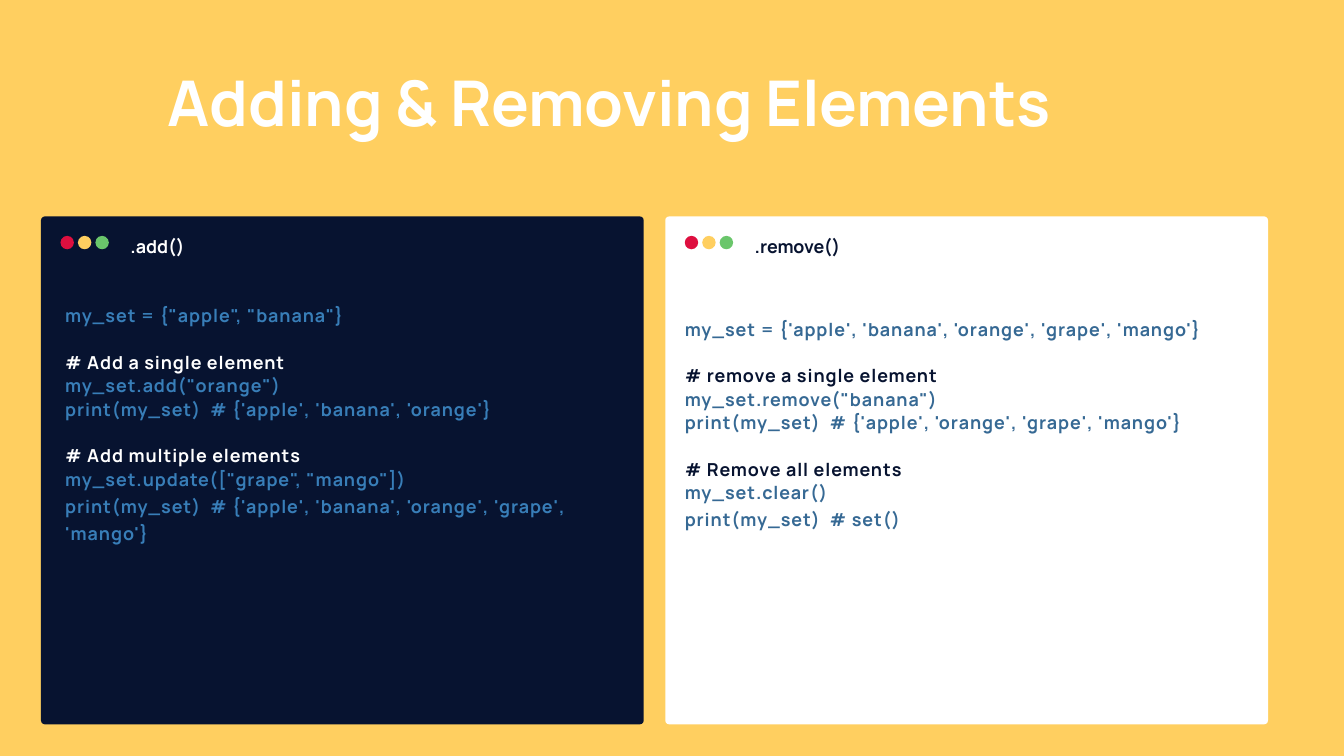
from typing import NamedTuple

from pptx import Presentation
from pptx.dml.color import RGBColor
from pptx.enum.shapes import MSO_SHAPE
from pptx.enum.text import MSO_ANCHOR, MSO_AUTO_SIZE, PP_ALIGN
from pptx.util import Inches, Pt

COLUMNS, ROWS = 20, 11.25
CELL = Inches(1)
FONT = "Manrope"
COLORS = {
    "yellow": "FFCF60",
    "navy": "071330",
    "white": "FFFFFF",
    "red": "DE0F3F",
    "green": "6AC66B",
    "bright_blue": "387EB8",
    "steel_blue": "366994",
}
ADD_CODE = """my_set = {"apple", "banana"}
# Add a single element
my_set.add("orange")
print(my_set)  # {'apple', 'banana', 'orange'}
# Add multiple elements
my_set.update(["grape", "mango"])
print(my_set)  # {'apple', 'banana', 'orange', 'grape', 'mango'}"""
REMOVE_CODE = """my_set = {'apple', 'banana', 'orange', 'grape', 'mango'}
# remove a single element
my_set.remove("banana")
print(my_set)  # {'apple', 'orange', 'grape', 'mango'}
# Remove all elements
my_set.clear()
print(my_set)  # set()"""


class Box(NamedTuple):
    """A region in columns and rows of the slide grid."""

    left: float
    top: float
    width: float
    height: float

    def inner(self, column, row, width, height):
        """Return a region placed relative to this one."""
        return Box(self.left + column, self.top + row, width, height)

    def lengths(self):
        """Return the region in slide units."""
        return [round(value * CELL) for value in self]


class PanelStyle(NamedTuple):
    """The colours of a code panel."""

    fill: str
    strong: str
    code: str


def color(name):
    """Return a named colour."""
    return RGBColor.from_string(COLORS[name])


def add_filled_shape(slide, kind, box, fill):
    """Add a preset shape with a plain fill and no outline."""
    shape = slide.shapes.add_shape(kind, *box.lengths())
    shape.shadow.inherit = False
    shape.fill.solid()
    shape.fill.fore_color.rgb = color(fill)
    shape.line.fill.background()
    return shape


def prepare_frame(text_frame):
    """Make a text frame wrap, start at its top and have no margins."""
    text_frame.word_wrap = True
    text_frame.auto_size = MSO_AUTO_SIZE.NONE
    text_frame.vertical_anchor = MSO_ANCHOR.TOP
    text_frame.margin_left = text_frame.margin_right = 0
    text_frame.margin_top = text_frame.margin_bottom = 0


def format_paragraph(paragraph, size, line, fill, tracking=0):
    """Set the line height, font and letter spacing of a paragraph."""
    paragraph.alignment = PP_ALIGN.LEFT
    paragraph.line_spacing = Pt(line)
    for run in paragraph.runs:
        run.font.name = FONT
        run.font.size = Pt(size)
        run.font.bold = True
        run.font.color.rgb = color(fill)
        if tracking:
            run._r.get_or_add_rPr().set("spc", str(tracking * 100))


def add_text_frame(slide, box, text):
    """Add a text box and return its prepared text frame."""
    text_frame = slide.shapes.add_textbox(*box.lengths()).text_frame
    prepare_frame(text_frame)
    text_frame.text = text
    return text_frame


def add_title(slide, box, text):
    """Place and format the title placeholder."""
    title = slide.shapes.title
    title.left, title.top, title.width, title.height = box.lengths()
    prepare_frame(title.text_frame)
    title.text_frame.text = text
    format_paragraph(title.text_frame.paragraphs[0], 67.5, 70.2, "white")


def add_code(slide, box, code, style):
    """Add code with highlighted comments that open each block."""
    paragraphs = add_text_frame(slide, box, code).paragraphs
    for paragraph in paragraphs:
        is_comment = paragraph.text.startswith("#")
        line = 29.2 if paragraph is paragraphs[-1] else 25
        fill = style.strong if is_comment else style.code
        format_paragraph(paragraph, 19.2, line, fill, tracking=1)
        if is_comment:
            paragraph.space_before = Pt(25)


def add_panel(slide, box, label, code, code_offset, style):
    """Draw a code window with its buttons, label and code."""
    window = add_filled_shape(slide, MSO_SHAPE.ROUNDED_RECTANGLE, box, style.fill)
    window.adjustments[0] = 0.06 / box.height
    for index, fill in enumerate(("red", "yellow", "green")):
        button = box.inner(0.29 + 0.26 * index, 0.29, 0.2, 0.2)
        add_filled_shape(slide, MSO_SHAPE.OVAL, button, fill)
    text_frame = add_text_frame(slide, box.inner(1.33, 0.27, 7.27, 0.33), label)
    format_paragraph(text_frame.paragraphs[0], 19.2, 23.8, style.strong)
    add_code(slide, box.inner(*code_offset, 8.24, 3.53), code, style)


def main():
    """Build and save the slide."""
    presentation = Presentation()
    presentation.slide_width = round(COLUMNS * CELL)
    presentation.slide_height = round(ROWS * CELL)
    slide = presentation.slides.add_slide(presentation.slide_layouts[5])
    slide.background.fill.solid()
    slide.background.fill.fore_color.rgb = color("yellow")

    add_title(slide, Box(2.49, 1.09, 14.41, 1.09), "Adding & Removing Elements")
    left_panel = Box(0.61, 3.22, 8.97, 7.56)
    right_panel = left_panel.inner(left_panel.width + 0.32, 0, 8.97, 7.56)
    dark = PanelStyle("navy", "white", "bright_blue")
    light = PanelStyle("white", "navy", "steel_blue")
    add_panel(slide, left_panel, ".add()", ADD_CODE, (0.36, 1.29), dark)
    add_panel(slide, right_panel, ".remove()", REMOVE_CODE, (0.29, 1.49), light)
    presentation.save("out.pptx")


if __name__ == "__main__":
    main()
